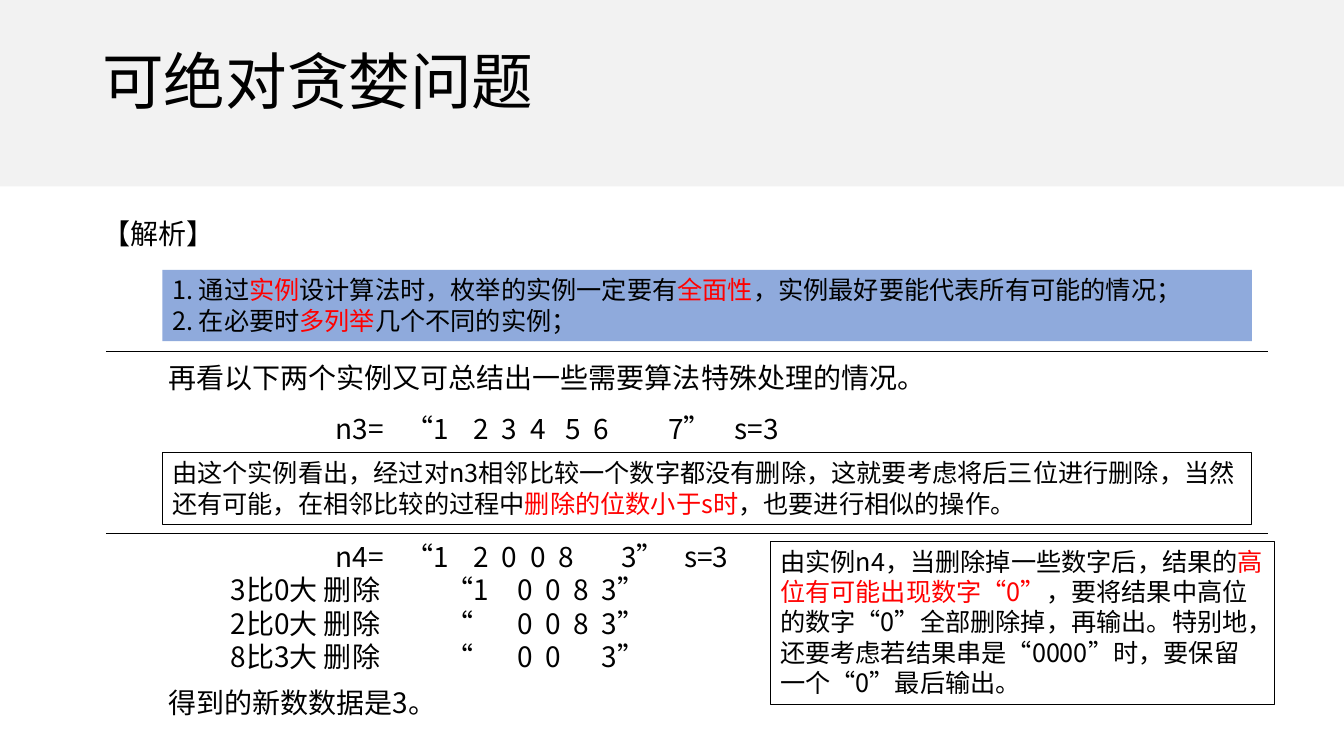
from lxml import etree
from pptx import Presentation
from pptx.dml.color import RGBColor
from pptx.enum import shapes, text
from pptx.oxml.ns import qn
from pptx.util import Cm, Pt

BLACK = RGBColor(0, 0, 0)
RED = RGBColor(0xFF, 0, 0)
BLUE = RGBColor(0x8F, 0xAA, 0xDC)
GREY = RGBColor(0xF2, 0xF2, 0xF2)
FONT = "Noto Sans CJK SC"

DIGIT = 0.71  # distance between neighbouring digits, cm
LABEL, QUOTE, FIRST = 2.65, 4.42, 5.42  # columns of the number strings, cm


def set_tabs(p, stops):
    tabs = etree.SubElement(p._p.get_or_add_pPr(), qn("a:tabLst"))
    for stop in stops:
        etree.SubElement(tabs, qn("a:tab"), pos=str(Cm(stop)), algn="l")


def set_font(p, size):
    p.font.size = Pt(size)
    p.font.color.rgb = BLACK
    p.font.name = FONT
    props = p._p.pPr.find(qn("a:defRPr"))
    etree.SubElement(props, qn("a:ea"), typeface=FONT)


def write(sp, lines, size, stops=()):
    """Fill sp with lines; every second part of a line split at | is red."""
    tf = sp.text_frame
    tf.word_wrap = True
    tf.vertical_anchor = text.MSO_ANCHOR.TOP
    for i, line in enumerate(lines):
        p = tf.add_paragraph() if i else tf.paragraphs[0]
        p.alignment = text.PP_ALIGN.LEFT
        if stops:
            set_tabs(p, stops[i])
        set_font(p, size)
        for j, part in enumerate(line.split("|")):
            r = p.add_run()
            r.text = part
            if j % 2:
                r.font.color.rgb = RED
    return tf


def add_text(slide, box, lines, size=20, stops=()):
    sp = slide.shapes.add_textbox(*map(Cm, box))
    return write(sp, lines, size, stops)


def add_panel(slide, box, lines=(), fill=None, line=None):
    sp = slide.shapes.add_shape(shapes.MSO_SHAPE.RECTANGLE, *map(Cm, box))
    sp.shadow.inherit = False
    if fill is None:
        sp.fill.background()
    else:
        sp.fill.solid()
        sp.fill.fore_color.rgb = fill
    if line is None:
        sp.line.fill.background()
    else:
        sp.line.color.rgb = line
        sp.line.width = Pt(0.75)
    if lines:
        write(sp, lines, 18)


def add_rule(slide, left, top, width):
    line = slide.shapes.add_connector(
        shapes.MSO_CONNECTOR.STRAIGHT, Cm(left), Cm(top), Cm(left + width), Cm(top))
    line.line.color.rgb = BLACK
    line.line.width = Pt(0.5)
    etree.SubElement(line._element.spPr, qn("a:effectLst"))


def digit_stops(first, count):
    return [first + DIGIT * i for i in range(count)]


def add_header(slide, left, top, width, height):
    add_panel(slide, (left, top, width, height), fill=GREY)
    tf = add_text(slide, (left + 2.33, top + 0.3, width - 4.66, 3.68), ["可绝对贪婪问题"], 44)
    tf.vertical_anchor = text.MSO_ANCHOR.MIDDLE
    tf.paragraphs[0].line_spacing = 0.9


def add_advice(slide, left, top, width):
    add_text(slide, (left, top, width, 1.11), ["【解析】"])
    add_panel(slide, (left + 1.76, top + 1.47, 27.46, 1.8), [
        "1. 通过|实例|设计算法时，枚举的实例一定要有|全面性|，实例最好要能代表所有可能的情况；",
        "2. 在必要时|多列举|几个不同的实例；",
    ], fill=BLUE)


def add_example_n3(slide, left, top, width):
    add_text(slide, (left, top, width, 1.11),
             ["再看以下两个实例又可总结出一些需要算法特殊处理的情况。"])
    stops = [LABEL, QUOTE, *digit_stops(FIRST, 4),
             *digit_stops(FIRST + 3 * DIGIT + 0.88, 2), 11.03]
    add_text(slide, (left + 1.57, top + 1.27, 18.62, 1.11),
             ["\tn3=\t“1\t2\t3\t4\t5\t6\t7”\ts=3"], stops=[stops])
    add_panel(slide, (left + 0.1, top + 2.44, 27.46, 1.8), [
        "由这个实例看出，经过对n3相邻比较一个数字都没有删除，这就要考虑将后三位进行删除，"
        "当然还有可能，在相邻比较的过程中|删除的位数小于s时|，也要进行相似的操作。",
    ], line=BLACK)


def add_example_n4(slide, left, top, width):
    steps = [5.42, *digit_stops(7.22, 4)]
    add_text(slide, (left + 1.57, top, 18.62, 3.68), [
        "\tn4=\t“1\t2\t0\t0\t8\t3”\ts=3",
        "3比0大 删除\t“1\t0\t0\t8\t3”",
        "2比0大 删除\t“\t0\t0\t8\t3”",
        "8比3大 删除\t“\t0\t0\t\t3”",
    ], stops=[[LABEL, QUOTE, *digit_stops(FIRST, 5), 9.85], steps, steps, steps])
    add_text(slide, (left, top + 3.68, width, 1.11), ["得到的新数数据是3。"])
    add_panel(slide, (left + 15.42, top + 0.18, 12.7, 4.11), [
        "由实例n4，当删除掉一些数字后，结果的|高位有可能出现数字“0”|，要将结果中高位的数字“0”"
        "全部删除掉，再输出。特别地，还要考虑若结果串是“0000”时，要保留一个“0”最后输出。",
    ], line=BLACK)


def main():
    prs = Presentation()
    prs.slide_width, prs.slide_height = Cm(33.87), Cm(19.05)
    slide = prs.slides.add_slide(prs.slide_layouts[6])
    add_header(slide, 0, 0, 33.87, 4.7)
    add_advice(slide, 2.33, 5.33, 26.95)
    add_example_n3(slide, 3.99, 8.97, 25.96)
    add_example_n4(slide, 3.99, 13.46, 25.96)
    for top in (8.86, 13.43):
        add_rule(slide, 2.67, top, 29.29)
    prs.save("out.pptx")


if __name__ == "__main__":
    main()
